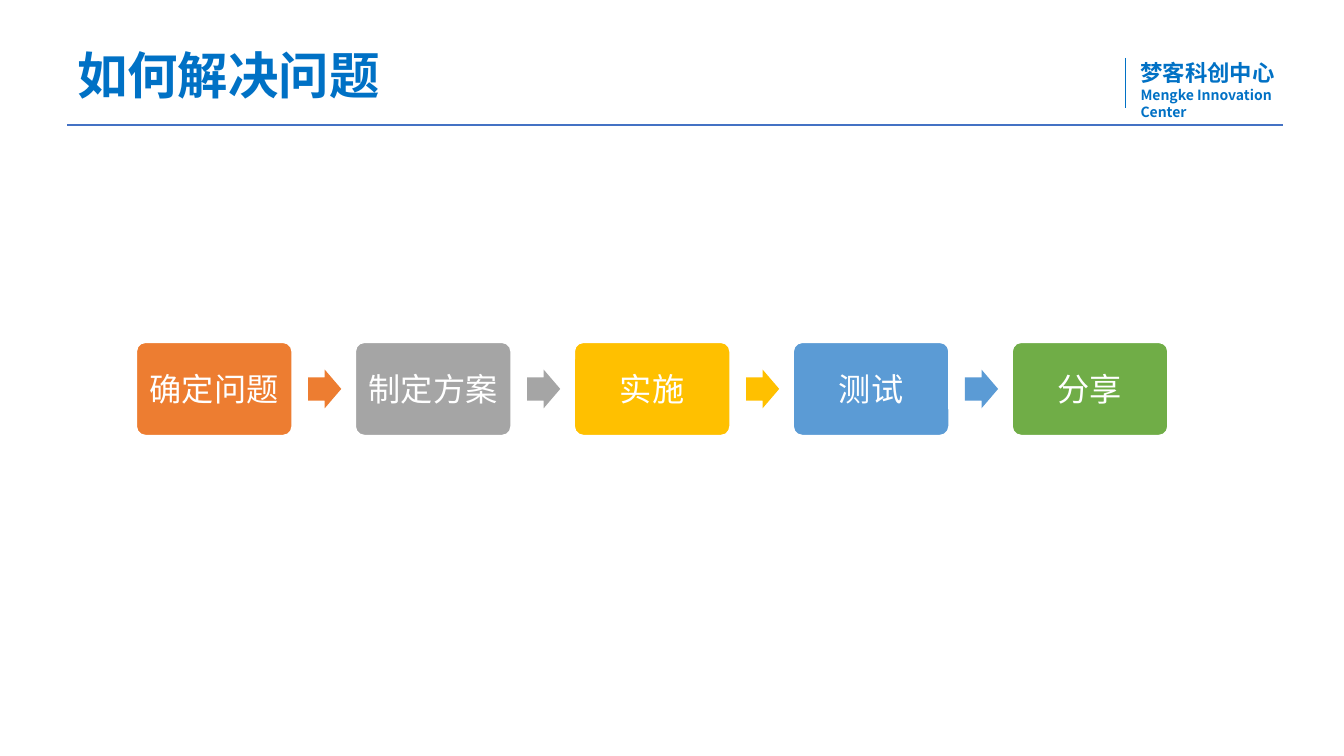
from pptx import Presentation
from pptx.dml.color import RGBColor
from pptx.enum.shapes import MSO_CONNECTOR, MSO_SHAPE
from pptx.enum.text import MSO_ANCHOR, PP_ALIGN
from pptx.oxml.ns import qn
from pptx.util import Inches, Pt
from lxml import etree

LINE = MSO_CONNECTOR.STRAIGHT
CARD, ARROW = MSO_SHAPE.ROUNDED_RECTANGLE, MSO_SHAPE.RIGHT_ARROW
TOP, MID = MSO_ANCHOR.TOP, MSO_ANCHOR.MIDDLE
LEFT, CENTER = PP_ALIGN.LEFT, PP_ALIGN.CENTER

FONT = "Noto Sans CJK SC"
HUES = {
    "title": "0071C5", "badge": "0171C5", "rule": "4472C4", "white": "FFFFFF",
    "orange": "ED7D31", "gray": "A5A5A5", "gold": "FFC000",
    "blue": "5B9BD5", "green": "70AD47",
}
STEPS = [("确定问题", "orange"), ("制定方案", "gray"), ("实施", "gold"),
         ("测试", "blue"), ("分享", "green")]

deck = Presentation()
deck.slide_width, deck.slide_height = Inches(13.33), Inches(7.5)
COLS, ROWS = 80, 45
COL, ROW = deck.slide_width / COLS, deck.slide_height / ROWS


def grid(x, y, w, h):
    """Turn columns and rows into slide lengths."""
    return round(x * COL), round(y * ROW), round(w * COL), round(h * ROW)


def hue(name):
    """Look up a colour by name."""
    return RGBColor.from_string(HUES[name])


def write(frame, text, size, color, bold=False, align=LEFT, anchor=TOP,
          space=1.0, inset=(0.1, 0.05)):
    """Fill a text frame with one formatted paragraph."""
    frame.word_wrap, frame.vertical_anchor = True, anchor
    frame.margin_left = frame.margin_right = Inches(inset[0])
    frame.margin_top = frame.margin_bottom = Inches(inset[1])
    para = frame.paragraphs[0]
    para.alignment, para.line_spacing = align, space
    run = para.add_run()
    run.text = text
    font = run.font
    font.size, font.bold, font.name = Pt(size), bold, FONT
    font.color.rgb = hue(color)
    etree.SubElement(font._element, qn("a:ea"), typeface=FONT)


def label(slide, box, text, **form):
    """Add a text box on the grid."""
    write(slide.shapes.add_textbox(*grid(*box)).text_frame, text, **form)


def rule(slide, box, color, width):
    """Draw a straight line across a box, without shadow."""
    x, y, w, h = grid(*box)
    line = slide.shapes.add_connector(LINE, x, y, x + w, y + h)
    line.line.color.rgb, line.line.width = hue(color), Pt(width)
    etree.SubElement(line._element.spPr, qn("a:effectLst"))


def block(slide, kind, box, color, *adjust):
    """Add a plain filled shape on the grid."""
    shape = slide.shapes.add_shape(kind, *grid(*box))
    shape.shadow.inherit = False
    shape.fill.solid()
    shape.fill.fore_color.rgb = hue(color)
    shape.line.fill.background()
    for spot, value in enumerate(adjust):
        shape.adjustments[spot] = value
    return shape


def badge(slide, box):
    """Draw the centre's name beside an upright line."""
    x, y, w, h = box
    rule(slide, (x, y + 0.2, 0, 3), "badge", 0.5)
    label(slide, (x + 0.3, y, w, 2.2), "梦客科创中心",
          size=16, color="badge", bold=True)
    label(slide, (x + 0.3, y + 1.62, w, h - 1.62), "Mengke Innovation Center",
          size=10, color="badge", bold=True)


def header(slide, box):
    """Draw the title, the badge and the line below them."""
    x, y, w, h = box
    badge(slide, (x + 63, y + 2.94, 11.7, 3.24))
    rule(slide, (x, y + 7.14, 72.36, 0), "rule", 1.5)
    label(slide, box, "如何解决问题", size=36, color="title", bold=True,
          anchor=MID, space=0.9)


def flow(slide, box):
    """Spread the step cards over a box, with an arrow in each gap."""
    x, y, w, h = box
    gap = 0.4
    count = len(STEPS)
    card = w / (count + (count - 1) * gap)
    wide, high = 0.212 * card, 0.248 * card
    tall = 0.6 * card
    mid = y + h / 2
    for place, (name, color) in enumerate(STEPS):
        left = x + place * card * (1 + gap)
        shape = block(slide, CARD, (left, mid - tall / 2, card, tall),
                      color, 0.1)
        shape.line.color.rgb, shape.line.width = hue("white"), Pt(1.5)
        write(shape.text_frame, name, size=23, color="white", align=CENTER,
              anchor=MID, inset=(0.05, 0.05))
        if place < count - 1:
            block(slide, ARROW, (left + 1.1 * card, mid - high / 2, wide, high),
                  color, 0.6, 0.5)


page = deck.slides.add_slide(deck.slide_layouts[6])
header(page, (4, 0.3, 74.4, 8.7))
flow(page, (8.1, 20.36, 61.44, 5.58))
deck.save("out.pptx")
